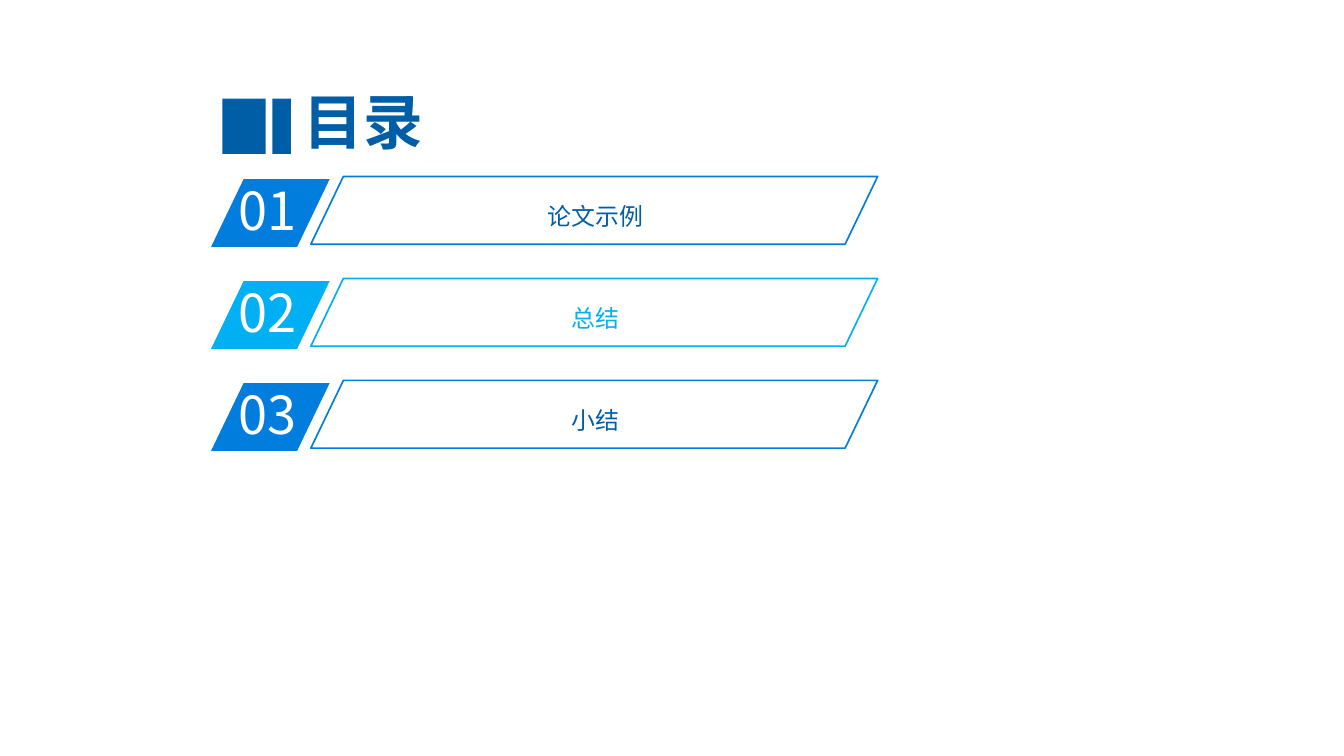
"""Build the contents slide with three numbered entries."""
import pptx
import pptx.dml.color
import pptx.enum.shapes
import pptx.enum.text
import pptx.oxml.ns
import pptx.util
from lxml import etree

Cm = pptx.util.Cm
Kind = pptx.enum.shapes.MSO_SHAPE
Align = pptx.enum.text.PP_ALIGN
FONT = "Noto Sans CJK SC"
COLORS = {"navy": "005EA6", "blue": "007DDD", "sky": "00B0F2", "white": "FFFFFF"}
ROWS = [
    ("01", "论文示例", "blue", "navy"),
    ("02", "总结", "sky", "sky"),
    ("03", "小结", "blue", "navy"),
]
STEP = 2.71


def tint(name):
    """Return the named colour."""
    return pptx.dml.color.RGBColor.from_string(COLORS[name])


def add_shape(slide, kind, box, fill=None, line=None):
    """Add a filled or outlined shape."""
    shape = slide.shapes.add_shape(kind, *map(Cm, box))
    shape.shadow.inherit = False
    if kind == Kind.PARALLELOGRAM:
        shape.adjustments[0] = 0.48
    if fill:
        shape.fill.solid()
        shape.fill.fore_color.rgb = tint(fill)
    else:
        shape.fill.background()
    if line:
        shape.line.color.rgb = tint(line)
        shape.line.width = pptx.util.Pt(1.25)
    else:
        shape.line.fill.background()


def add_text(slide, box, text, size, color, align=Align.LEFT, bold=False):
    """Add a line of text and return its frame."""
    frame = slide.shapes.add_textbox(*map(Cm, box)).text_frame
    frame.word_wrap = True
    frame.text = text
    para = frame.paragraphs[0]
    para.alignment = align
    font = para.runs[0].font
    font.size = pptx.util.Pt(size)
    font.bold = bold
    font.color.rgb = tint(color)
    font.name = FONT
    east = etree.SubElement(para.runs[0]._r.get_or_add_rPr(), pptx.oxml.ns.qn("a:ea"))
    east.set("typeface", FONT)
    return frame


def add_title(slide):
    """Add the heading and its two bars."""
    box = (5.26, 2.24, 8.81, 1.93)
    frame = add_text(slide, box, "目录", 45, "navy", Align.CENTER, True)
    frame.vertical_anchor = pptx.enum.text.MSO_ANCHOR.MIDDLE
    for left, width in ((5.91, 1.15), (7.24, 0.49)):
        add_shape(slide, Kind.RECTANGLE, (left, 2.62, width, 1.47), "navy")


def add_row(slide, shift, number, label, color, ink):
    """Add one numbered entry."""
    slant = Kind.PARALLELOGRAM
    add_shape(slide, slant, (5.61, 4.76 + shift, 3.15, 1.8), fill=color)
    add_text(slide, (6.1, 4.61 + shift, 3, 1.93), number, 39.4, "white")
    box = (10.3, 4.85 + shift, 11.05, 1.24)
    frame = add_text(slide, box, label, 18, ink, Align.CENTER)
    frame.paragraphs[0].line_spacing = 1.5
    add_shape(slide, slant, (8.26, 4.69 + shift, 15.06, 1.8), line=color)


def main():
    """Build and save the slide."""
    deck = pptx.Presentation()
    deck.slide_width, deck.slide_height = Cm(35.71), Cm(20.09)
    slide = deck.slides.add_slide(deck.slide_layouts[6])
    add_title(slide)
    for place, row in enumerate(ROWS):
        add_row(slide, place * STEP, *row)
    deck.save("out.pptx")


if __name__ == "__main__":
    main()
